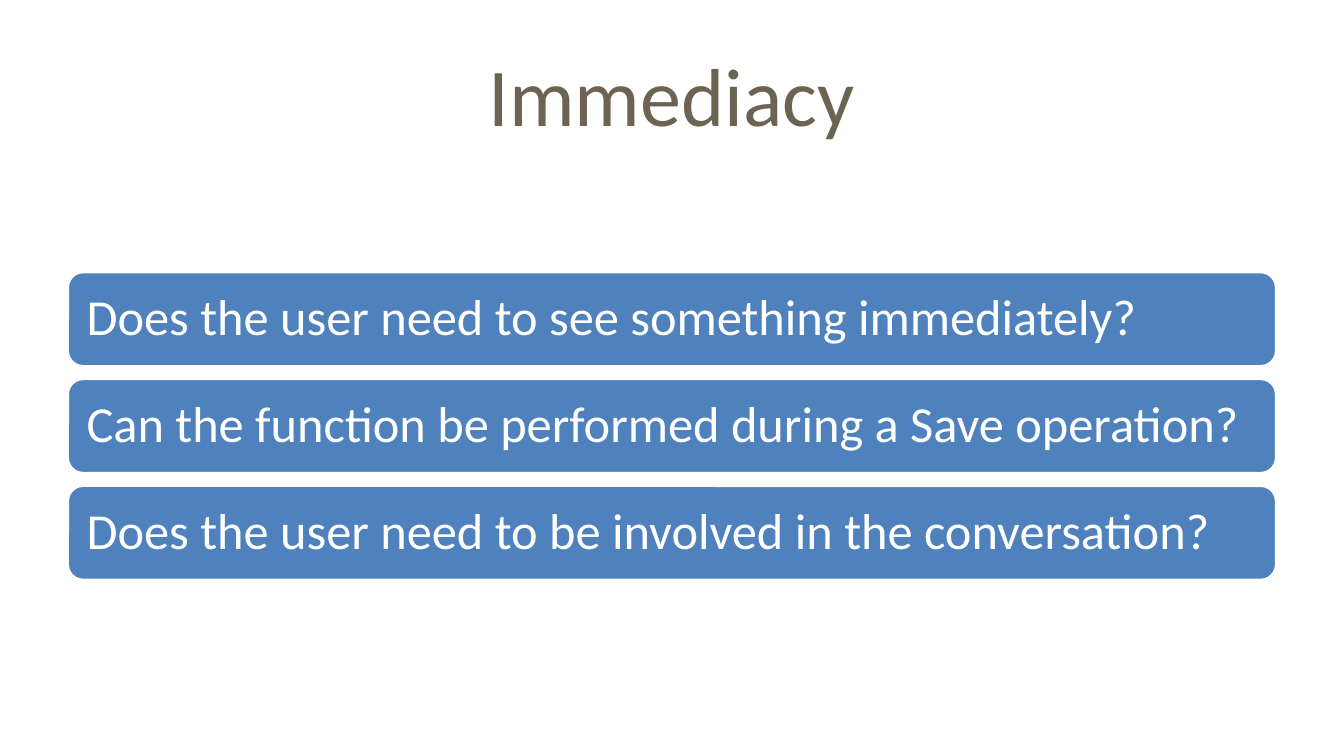
from dataclasses import dataclass

from pptx import Presentation
from pptx.dml.color import RGBColor
from pptx.enum.shapes import MSO_SHAPE as Shape
from pptx.enum.text import MSO_ANCHOR as Anchor, PP_ALIGN as Align
from pptx.util import Inches, Pt


@dataclass(frozen=True)
class Theme:
    font: str = "Calibri"
    title_size: int = 44
    question_size: int = 27
    title_color: str = "6C6352"
    bar_color: str = "4F81BD"
    white: str = "FFFFFF"


THEME = Theme()
SLIDE_WIDTH = 10
SLIDE_HEIGHT = SLIDE_WIDTH * 9 / 16
LEFT, WIDTH = 0.5, 9
FIRST_BAR_TOP, LAST_BAR_TOP, BAR_HEIGHT = 2.02, 3.61, 0.71
BAR_INSET = 0.11
QUESTIONS = [
    "Does the user need to see something immediately?",
    "Can the function be performed during a Save operation?",
    "Does the user need to be involved in the conversation?",
]


def set_attributes(target, values):
    for name, value in values.items():
        setattr(target, name, value)


def write_text(shape, text, size, color, alignment, line_spacing=1.0):
    frame = shape.text_frame
    set_attributes(frame, {"word_wrap": True, "vertical_anchor": Anchor.MIDDLE})
    paragraph = frame.paragraphs[0]
    paragraph.text = text
    set_attributes(paragraph, {"alignment": alignment, "line_spacing": line_spacing})
    font = paragraph.runs[0].font
    set_attributes(font, {"name": THEME.font, "size": Pt(size)})
    font.color.rgb = RGBColor.from_string(color)


def add_title(slide, text):
    title = slide.shapes.title
    set_attributes(title, {
        "left": Inches(LEFT), "top": Inches(0.23),
        "width": Inches(WIDTH), "height": Inches(0.94),
    })
    write_text(title, text, THEME.title_size, THEME.title_color, Align.CENTER)


def add_question_bar(shapes, text, top):
    bar = shapes.add_shape(Shape.ROUNDED_RECTANGLE, Inches(LEFT), Inches(top),
                           Inches(WIDTH), Inches(BAR_HEIGHT))
    bar.shadow.inherit = False
    bar.fill.solid()
    bar.fill.fore_color.rgb = RGBColor.from_string(THEME.bar_color)
    bar.line.color.rgb = RGBColor.from_string(THEME.white)
    bar.line.width = Pt(2)
    sides = ("left", "top", "right", "bottom")
    set_attributes(bar.text_frame, {f"margin_{side}": Inches(BAR_INSET) for side in sides})
    write_text(bar, text, THEME.question_size, THEME.white, Align.LEFT, 0.9)


def main():
    presentation = Presentation()
    set_attributes(presentation, {
        "slide_width": Inches(SLIDE_WIDTH), "slide_height": Inches(SLIDE_HEIGHT),
    })
    slide = presentation.slides.add_slide(presentation.slide_layouts[5])
    add_title(slide, "Immediacy")
    group = slide.shapes.add_group_shape()
    pitch = (LAST_BAR_TOP - FIRST_BAR_TOP) / (len(QUESTIONS) - 1)
    for index, question in enumerate(QUESTIONS):
        add_question_bar(group.shapes, question, FIRST_BAR_TOP + index * pitch)
    presentation.save("out.pptx")


if __name__ == "__main__":
    main()
